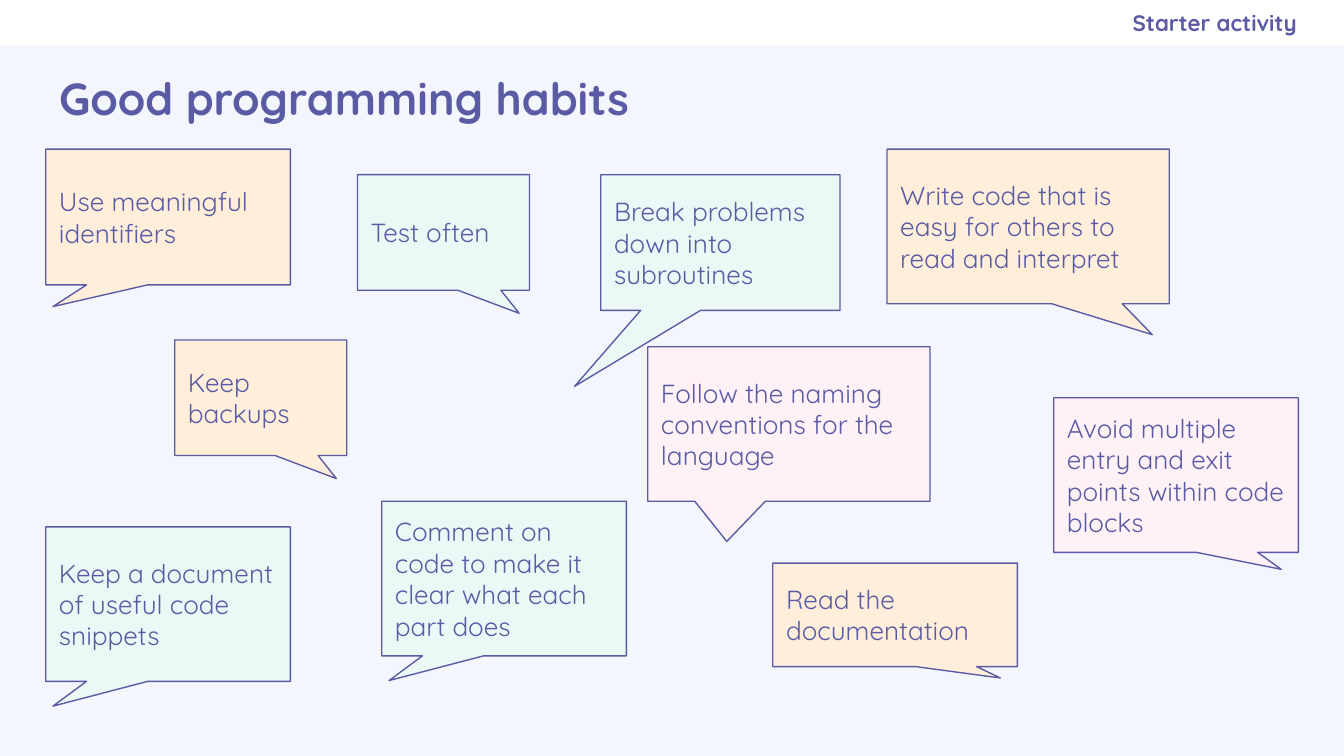
import pptx
import pptx.util
import pptx.dml.color
import pptx.enum.shapes
import pptx.enum.text

Inches = pptx.util.Inches
Pt = pptx.util.Pt
Align = pptx.enum.text.PP_ALIGN
Kind = pptx.enum.shapes.MSO_SHAPE

INK = "5B5BA5"
PEACH, MINT, PINK = "FFEFDA", "ECF8F5", "FEF2F6"


def paint(fill, color):
    fill.solid()
    fill.fore_color.rgb = pptx.dml.color.RGBColor.from_string(color)


def write(shape, text, size, bold=False, align=Align.LEFT, right=0.1):
    frame = shape.text_frame
    frame.text = text
    frame.word_wrap = True
    frame.auto_size = pptx.enum.text.MSO_AUTO_SIZE.NONE
    frame.vertical_anchor = pptx.enum.text.MSO_ANCHOR.MIDDLE
    frame.margin_left = frame.margin_top = frame.margin_bottom = Inches(0.1)
    frame.margin_right = Inches(right)
    para = frame.paragraphs[0]
    para.alignment = align
    para.font.name = "Quicksand"
    para.font.size = Pt(size)
    para.font.bold = bold
    paint(para.font.fill, INK)


deck = pptx.Presentation()
deck.slide_width = Inches(10)
deck.slide_height = Inches(10 * 9 / 16)
slide = deck.slides.add_slide(deck.slide_layouts[5])
paint(slide.background.fill, "F3F6FC")
shapes = slide.shapes

# Header band and titles
band = shapes.add_shape(Kind.RECTANGLE, 0, 0, Inches(10), Inches(0.34))
band.shadow.inherit = False
paint(band.fill, "FFFFFF")
band.line.fill.background()

title = shapes.title
title.left, title.top = Inches(0.34), Inches(0.34)
title.width, title.height = Inches(9.32), Inches(0.77)
write(title, "Good programming habits", 24, bold=True)

label = shapes.add_textbox(Inches(5.75), 0, Inches(3.9), Inches(0.34))
write(label, "Starter activity", 12, bold=True, align=Align.RIGHT, right=0)

# Speech bubbles: the tail tip is measured from the centre, in box sizes
LEFT, RIGHT, LOW = (-0.47, 0.66), (0.44, 0.7), (0.43, 0.61)
habits = [
    ("Use meaningful identifiers", 0.34, 1.11, 1.82, 1.01, LEFT, PEACH),
    ("Write code that is easy for others to read and interpret",
     6.6, 1.11, 2.1, 1.15, RIGHT, PEACH),
    ("Test often", 2.66, 1.3, 1.28, 0.86, RIGHT, MINT),
    ("Keep backups", 1.3, 2.53, 1.28, 0.86, RIGHT, PEACH),
    ("Keep a document of useful code snippets",
     0.34, 3.92, 1.82, 1.15, LEFT, MINT),
    ("Comment on code to make it clear what each part does",
     2.84, 3.73, 1.82, 1.15, LEFT, MINT),
    ("Avoid multiple entry and exit points within code blocks",
     7.84, 2.96, 1.82, 1.15, LOW, PINK),
    ("Read the documentation", 5.75, 4.19, 1.82, 0.77, LOW, PEACH),
    ("Follow the naming conventions for the language",
     4.82, 2.58, 2.1, 1.15, (-0.22, 0.76), PINK),
    ("Break problems down into subroutines",
     4.47, 1.3, 1.78, 1.01, (-0.61, 1.06), MINT),
]
for text, left, top, width, height, tip, color in habits:
    bubble = shapes.add_shape(
        Kind.ROUNDED_RECTANGULAR_CALLOUT,
        Inches(left), Inches(top), Inches(width), Inches(height))
    for i, value in enumerate((*tip, 0)):
        bubble.adjustments[i] = value
    bubble.shadow.inherit = False
    paint(bubble.fill, color)
    paint(bubble.line.fill, INK)
    bubble.line.width = Pt(0.75)
    write(bubble, text, 14)

deck.save("out.pptx")
